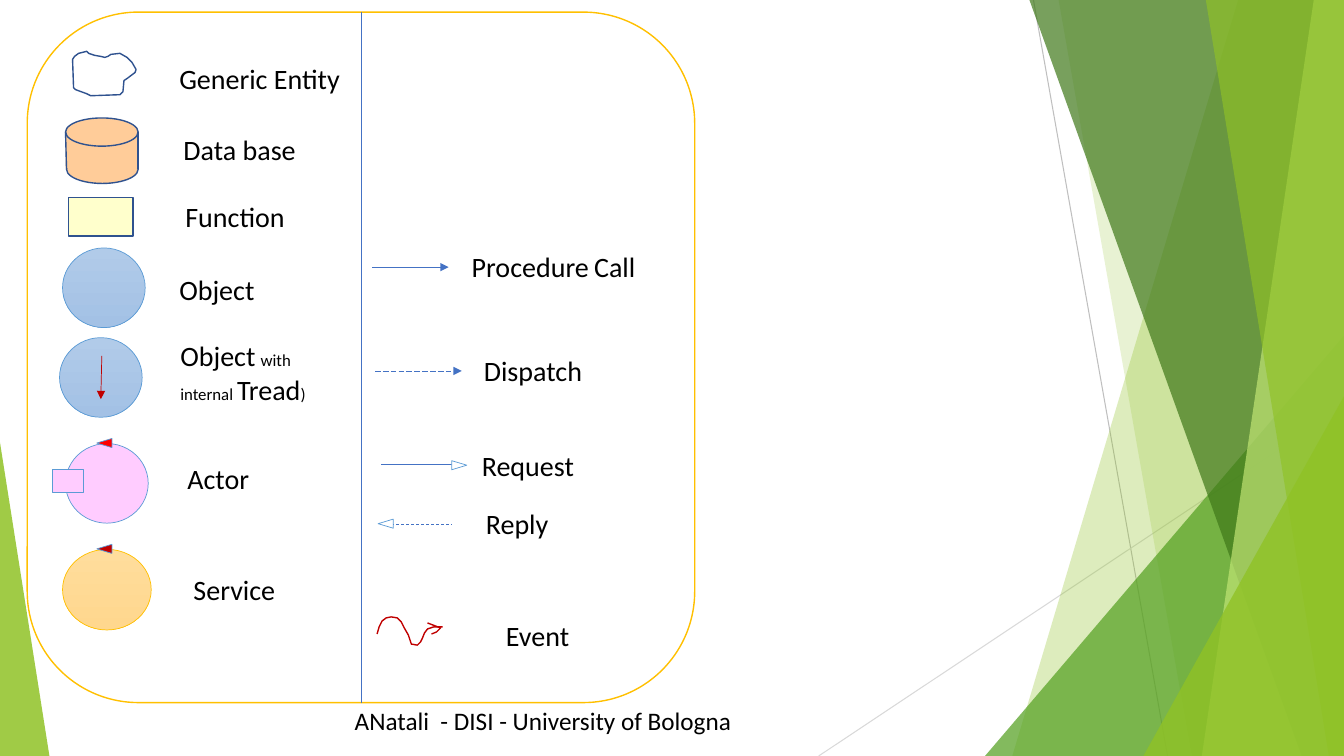
"""Build a legend slide that explains the symbols of a system modelling notation."""
from dataclasses import dataclass

from lxml import etree
from pptx import Presentation
from pptx import util as u
from pptx.dml.color import RGBColor
from pptx.enum import dml, shapes
from pptx.oxml.ns import qn

CM_PER_INCH = 2.54
FONT = "Calibri"
COLORS = {
    "lime": "90C226", "leaf": "54A021", "forest": "3F7819", "pale": "C0E474",
    "gray": "BFBFBF", "silver": "D9D9D9", "white": "FFFFFF", "black": "000000",
    "gold": "FFC000", "blue": "4472C4", "sky": "5B9BD5", "navy": "2F528F",
    "ice": "B1CBE9", "mist": "A3C1E5", "peach": "FFCC99", "cream": "FFFFCC",
    "pink": "FFCCFF", "red": "FF0000", "crimson": "C00000",
    "sand": "FFDD9C", "honey": "FFD78E",
}
Point = tuple[float, float]


@dataclass
class Facet:
    """Translucent polygon of the backdrop."""
    points: list[Point]
    color: str
    opacity: int


@dataclass
class Symbol:
    """Preset shape; two fill colours make a vertical gradient."""
    kind: shapes.MSO_SHAPE
    left: float
    top: float
    width: float
    height: float
    fill: tuple[str, ...]
    line: str | None = "sky"
    weight: float = 0.5
    rotation: int = 0


@dataclass
class Stroke:
    """Straight line, with an arrowhead at its end if wanted."""
    start: Point
    end: Point
    color: str = "blue"
    weight: float = 0.5
    arrow: bool = False
    dash: dml.MSO_LINE | None = None


@dataclass
class Sketch:
    """Hand-drawn outline."""
    points: list[Point]
    color: str
    fill: str | None = None


@dataclass
class Label:
    """Text box whose paragraphs are lists of (text, size) spans."""
    left: float
    top: float
    width: float
    paragraphs: list[list[tuple[str, int]]]
    height: float = 0.44


RECT, OVAL = shapes.MSO_SHAPE.RECTANGLE, shapes.MSO_SHAPE.OVAL
TRIANGLE = shapes.MSO_SHAPE.ISOSCELES_TRIANGLE

BACKDROP_LINES = [
    Stroke((10.25, 0), (11.58, 7.5), "gray", 0.75),
    Stroke((13.33, 4.03), (8.12, 7.5), "silver", 0.75),
]
FACETS = [
    Facet([(12.28, 0), (13.33, 0), (13.33, 7.5), (10.04, 7.5)], "lime", 30),
    Facet([(10.5, 0), (13.33, 0), (13.33, 7.5), (11.82, 7.5)], "lime", 20),
    Facet([(9.77, 7.5), (13.33, 3.33), (13.33, 7.5)], "leaf", 72),
    Facet([(10.21, 0), (13.33, 0), (13.33, 7.5), (12.91, 7.5)], "forest", 70),
    Facet([(13.03, 0), (13.33, 0), (13.33, 7.5), (11.92, 7.5)], "pale", 70),
    Facet([(11.96, 0), (13.33, 0), (13.33, 7.5), (13.18, 7.5)], "lime", 65),
    Facet([(11.34, 7.5), (13.33, 3.93), (13.33, 7.5)], "lime", 80),
    Facet([(0, 7.5), (0, 4.39), (0.49, 7.5)], "lime", 85),
]
FRAME = Symbol(shapes.MSO_SHAPE.ROUNDED_RECTANGLE, 0.27, 0.12, 6.62, 6.85, ("white",), "gold", 1)
SYMBOLS = [
    Symbol(OVAL, 0.66, 1.54, 0.71, 0.28, ("peach",), "navy", 1),
    Symbol(RECT, 0.65, 1.3, 0.72, 0.37, ("peach",), None),
    Symbol(OVAL, 0.65, 1.17, 0.72, 0.28, ("peach",), "navy", 1),
    Symbol(RECT, 0.68, 1.96, 0.64, 0.38, ("cream",), "navy", 1),
    Symbol(OVAL, 0.62, 2.46, 0.82, 0.79, ("ice", "mist")),
    Symbol(OVAL, 0.59, 3.35, 0.82, 0.79, ("ice", "mist")),
    Symbol(OVAL, 0.65, 4.4, 0.82, 0.79, ("pink",)),
    Symbol(RECT, 0.52, 4.66, 0.31, 0.23, ("pink",)),
    Symbol(TRIANGLE, 0.99, 4.32, 0.09, 0.15, ("red",), rotation=270),
    Symbol(OVAL, 0.62, 5.45, 0.88, 0.8, ("sand", "honey"), "gold"),
    Symbol(TRIANGLE, 0.99, 5.37, 0.09, 0.15, ("crimson",), rotation=270),
]
STROKES = [
    Stroke((0.65, 1.31), (0.66, 1.68), "navy", 1),
    Stroke((1.37, 1.31), (1.37, 1.68), "navy", 1),
    Stroke((1.01, 3.53), (1, 3.96), "crimson", arrow=True),
    Stroke((3.69, 2.65), (4.45, 2.65), arrow=True),
    Stroke((3.72, 3.68), (4.58, 3.68), arrow=True, dash=dml.MSO_LINE.LONG_DASH),
    Stroke((3.78, 4.61), (4.48, 4.61)),
    Stroke((3.78, 5.2), (4.48, 5.2), dash=dml.MSO_LINE.DASH),
]
OPEN_HEADS = [
    Symbol(TRIANGLE, 4.51, 4.54, 0.09, 0.15, ("white",), rotation=90),
    Symbol(TRIANGLE, 3.78, 5.12, 0.09, 0.15, ("white",), rotation=270),
]
SKETCHES = [
    Sketch([(0.86, 0.51), (0.78, 0.53), (0.74, 0.56), (0.72, 0.59), (0.73, 0.87), (0.75, 0.89),
            (0.86, 0.93), (0.9, 0.95), (1.19, 0.94), (1.22, 0.91), (1.23, 0.8), (1.26, 0.78),
            (1.34, 0.72), (1.35, 0.69), (1.31, 0.62), (1.26, 0.57), (1.19, 0.53), (1.1, 0.54),
            (1.07, 0.56), (1.04, 0.57), (1, 0.56), (0.94, 0.55), (0.88, 0.53)], "navy", "white"),
    Sketch([(3.74, 6.29), (3.76, 6.22), (3.79, 6.16), (3.83, 6.13), (3.88, 6.12), (3.94, 6.13),
            (3.98, 6.17), (4.01, 6.23), (4.05, 6.3), (4.07, 6.36), (4.08, 6.39), (4.14, 6.4),
            (4.17, 6.37), (4.19, 6.33), (4.21, 6.28), (4.24, 6.24), (4.3, 6.22), (4.39, 6.22)],
           "crimson"),
    Sketch([(4.24, 6.18), (4.37, 6.23), (4.33, 6.27), (4.28, 6.29)], "crimson"),
]
LABELS = [
    Label(1.68, 0.56, 1.8, [[("Generic Entity", 20)]]),
    Label(1.72, 1.27, 1.33, [[("Data base", 20)]]),
    Label(1.74, 1.93, 1.2, [[("Function", 20)]]),
    Label(1.68, 2.65, 0.96, [[("Object", 20)]]),
    Label(1.69, 3.31, 1.44, [[("Object", 20), (" ", 16), ("with", 12), (" ", 16)],
                             [("internal ", 12), ("Tread", 20), (")", 12)]], 0.77),
    Label(1.76, 4.53, 0.81, [[("Actor", 20)]]),
    Label(1.82, 5.63, 1.01, [[("Service", 20)]]),
    Label(4.58, 2.43, 1.82, [[("Procedure", 20), (" ", 16), ("Call", 20)]]),
    Label(4.7, 3.46, 1.18, [[("Dispatch", 20)]]),
    Label(4.68, 4.4, 1.12, [[("Request", 20)]]),
    Label(4.72, 4.98, 0.82, [[("Reply", 20)]]),
    Label(4.92, 6.09, 0.83, [[("Event", 20)]]),
    Label(3.42, 6.95, 5.4, [[("ANatali  - DISI - University of Bologna", 18)]], 0.4),
]


def size(inches: float) -> u.Length:
    return u.Cm(inches * CM_PER_INCH)


def rgb(name: str) -> RGBColor:
    return RGBColor.from_string(COLORS[name])


def paint(shape, fill: tuple[str, ...], line: str | None, weight: float = 1) -> None:
    shape.shadow.inherit = False
    if len(fill) == 2:
        shape.fill.gradient()
        shape.fill.gradient_angle = 270
        for stop, name in zip(shape.fill.gradient_stops, fill):
            stop.color.rgb = rgb(name)
    elif fill:
        shape.fill.solid()
        shape.fill.fore_color.rgb = rgb(fill[0])
    else:
        shape.fill.background()
    if line:
        shape.line.color.rgb = rgb(line)
        shape.line.width = u.Pt(weight)
    else:
        shape.line.fill.background()


def draw_outline(page, points: list[Point], closed: bool):
    start, *rest = [(size(x), size(y)) for x, y in points]
    builder = page.shapes.build_freeform(*start)
    builder.add_line_segments(rest, close=closed)
    return builder.convert_to_shape()


def draw_facet(page, facet: Facet) -> None:
    shape = draw_outline(page, facet.points, True)
    paint(shape, (facet.color,), None)
    color = next(shape._element.spPr.iter(qn("a:srgbClr")))
    etree.SubElement(color, qn("a:alpha"), val=str(facet.opacity * 1000))


def draw_sketch(page, sketch: Sketch) -> None:
    shape = draw_outline(page, sketch.points, sketch.fill is not None)
    paint(shape, (sketch.fill,) if sketch.fill else (), sketch.color)


def draw_symbol(page, symbol: Symbol):
    box = map(size, (symbol.left, symbol.top, symbol.width, symbol.height))
    shape = page.shapes.add_shape(symbol.kind, *box)
    shape.rotation = symbol.rotation
    paint(shape, symbol.fill, symbol.line, symbol.weight)
    return shape


def draw_stroke(page, stroke: Stroke):
    ends = map(size, (*stroke.start, *stroke.end))
    connector = page.shapes.add_connector(shapes.MSO_CONNECTOR.STRAIGHT, *ends)
    connector.line.color.rgb = rgb(stroke.color)
    connector.line.width = u.Pt(stroke.weight)
    if stroke.dash:
        connector.line.dash_style = stroke.dash
    properties = connector._element.spPr
    if stroke.arrow:
        etree.SubElement(properties.find(qn("a:ln")), qn("a:tailEnd"), type="triangle")
    etree.SubElement(properties, qn("a:effectLst"))
    return connector


def write(para, text: str, *, points: int = 20, color: str = "black") -> None:
    span = para.add_run()
    span.text = text
    span.font.name = FONT
    span.font.size = u.Pt(points)
    span.font.color.rgb = rgb(color)


def draw_label(page, label: Label) -> None:
    box = page.shapes.add_textbox(*map(size, (label.left, label.top, label.width, label.height)))
    frame = box.text_frame
    frame.word_wrap = False
    for index, spans in enumerate(label.paragraphs):
        para = frame.add_paragraph() if index else frame.paragraphs[0]
        for text, points in spans:
            write(para, text, points=points)


def main() -> None:
    deck = Presentation()
    deck.slide_width, deck.slide_height = size(13.33), size(7.5)
    page = deck.slides.add_slide(deck.slide_layouts[6])
    for stroke in BACKDROP_LINES:
        draw_stroke(page, stroke)
    for facet in FACETS:
        draw_facet(page, facet)
    panel = draw_symbol(page, FRAME)
    divider = draw_stroke(page, Stroke((3.58, 0.12), (3.58, 6.97)))
    divider.begin_connect(panel, 0)
    divider.end_connect(panel, 2)
    for symbol in SYMBOLS:
        draw_symbol(page, symbol)
    for stroke in STROKES:
        draw_stroke(page, stroke)
    for head in OPEN_HEADS:
        draw_symbol(page, head)
    for sketch in SKETCHES:
        draw_sketch(page, sketch)
    for label in LABELS:
        draw_label(page, label)
    deck.save("out.pptx")


if __name__ == "__main__":
    main()
